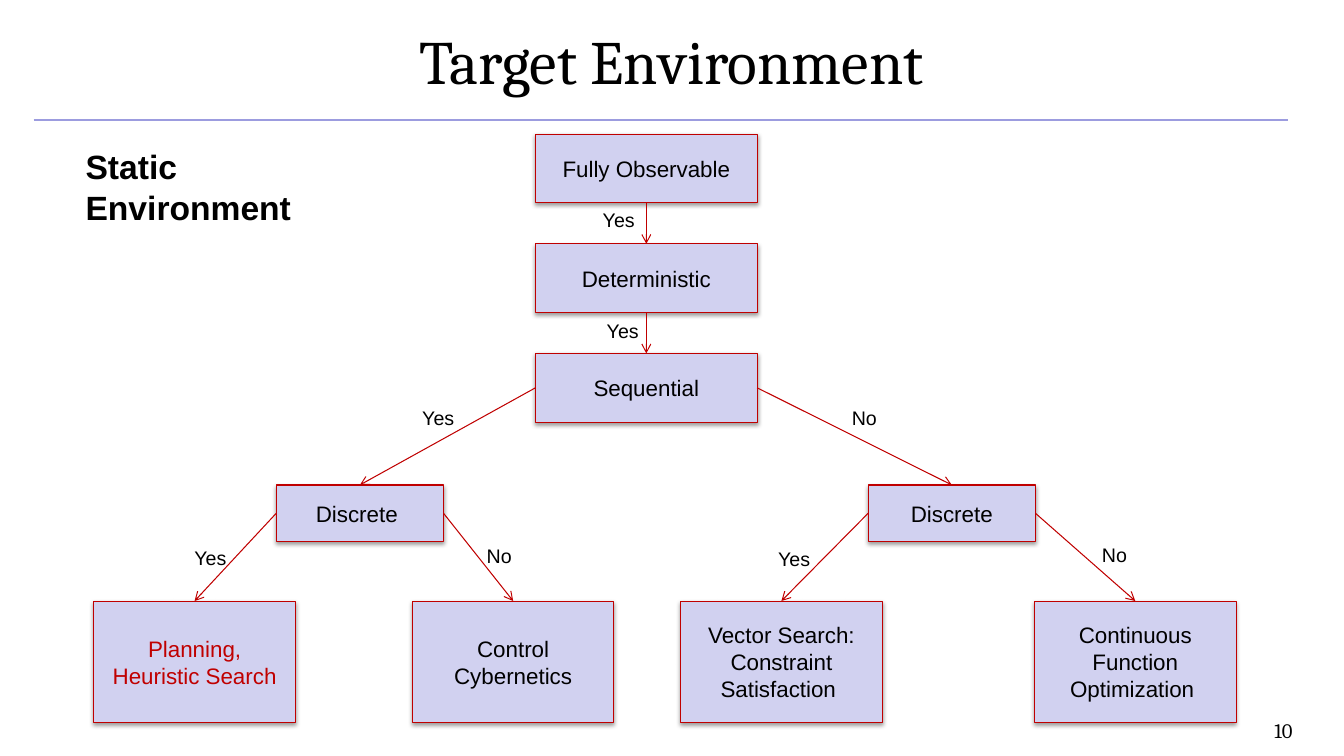
"""Draw the decision tree that maps a static environment to a solution method."""
from dataclasses import dataclass

from lxml import etree
from pptx import Presentation
from pptx.dml.color import RGBColor
from pptx.enum.shapes import MSO_CONNECTOR, MSO_SHAPE
from pptx.enum.text import MSO_ANCHOR, PP_ALIGN
from pptx.oxml.ns import qn
from pptx.shapes.autoshape import Shape
from pptx.shapes.connector import Connector
from pptx.slide import Slide
from pptx.text.text import TextFrame
from pptx.util import Emu, Inches, Pt

STRAIGHT = MSO_CONNECTOR.STRAIGHT
RECTANGLE = MSO_SHAPE.RECTANGLE
LEFT, CENTER, RIGHT = PP_ALIGN.LEFT, PP_ALIGN.CENTER, PP_ALIGN.RIGHT
TOP, MIDDLE = MSO_ANCHOR.TOP, MSO_ANCHOR.MIDDLE
TOP_SIDE, LEFT_SIDE, BOTTOM_SIDE, RIGHT_SIDE = range(4)

COLORS = {"text": "000000", "accent": "C00000", "fill": "D1D1F0",
          "rule": "9C9CDF", "shadow": "000000"}
WIDTH, HEIGHT = Inches(13.33), Inches(7.5)
TRUNK_CENTER, TRUNK_TOP, TRUNK_STEP = 48.09, 17.75, 14.5


@dataclass(frozen=True)
class Level:
    """Size of the boxes of one tree level, in percent of the slide."""
    width: float
    height: float


@dataclass(frozen=True)
class Node:
    """A box of the tree, placed by its centre and top in percent."""
    key: str
    lines: tuple[str, ...]
    level: Level
    center: float
    top: float
    color: str = "text"


@dataclass(frozen=True)
class Link:
    """An arrow between two boxes, with the place of its answer in percent."""
    source: str
    side: int
    target: str
    answer: str
    left: float
    top: float


@dataclass(frozen=True)
class Style:
    """Look of a piece of text."""
    size: float
    font: str = "Arial"
    color: str = "text"
    bold: bool = False
    align: PP_ALIGN = LEFT
    anchor: MSO_ANCHOR = TOP
    wrap: bool = True
    inset: tuple[float, float] = (0.1, 0.05)


TRUNK, BRANCH, LEAF = Level(16.5, 9.1), Level(12.45, 7.5), Level(15, 16.1)
BRANCH_TOP, LEAF_TOP = 64.15, 79.5

TRUNK_QUESTIONS = ("Fully Observable", "Deterministic", "Sequential")
NODES = [Node(question, (question,), TRUNK, TRUNK_CENTER, TRUNK_TOP + row * TRUNK_STEP)
         for row, question in enumerate(TRUNK_QUESTIONS)] + [
    Node("Discrete left", ("Discrete ",), BRANCH, 26.78, BRANCH_TOP),
    Node("Discrete right", ("Discrete",), BRANCH, 70.82, BRANCH_TOP),
    Node("Planning", ("Planning,", "Heuristic Search"), LEAF, 14.48, LEAF_TOP, "accent"),
    Node("Control", ("Control Cybernetics",), LEAF, 38.18, LEAF_TOP),
    Node("Vector", ("Vector Search: Constraint Satisfaction ",), LEAF, 58.14, LEAF_TOP),
    Node("Continuous", ("Continuous Function Optimization ",), LEAF, 84.47, LEAF_TOP),
]
LINKS = [
    Link("Fully Observable", BOTTOM_SIDE, "Deterministic", "Yes", 44.11, 26.8),
    Link("Deterministic", BOTTOM_SIDE, "Sequential", "Yes", 44.41, 41.47),
    Link("Sequential", LEFT_SIDE, "Discrete left", "Yes", 30.68, 53.07),
    Link("Sequential", RIGHT_SIDE, "Discrete right", "No", 62.64, 53.07),
    Link("Discrete left", LEFT_SIDE, "Planning", "Yes", 13.73, 71.6),
    Link("Discrete left", RIGHT_SIDE, "Control", "No", 35.48, 71.33),
    Link("Discrete right", LEFT_SIDE, "Vector", "Yes", 57.16, 71.73),
    Link("Discrete right", RIGHT_SIDE, "Continuous", "No", 81.25, 71.2),
]
ANSWER_WIDTHS = {"Yes": 3.9, "No": 3.38}


def across(percent: float) -> Emu:
    """Turn a share of the slide width into a length."""
    return Emu(round(WIDTH * percent / 100))


def down(percent: float) -> Emu:
    """Turn a share of the slide height into a length."""
    return Emu(round(HEIGHT * percent / 100))


def color(name: str) -> RGBColor:
    """Look up a colour of the palette."""
    return RGBColor.from_string(COLORS[name])


def write(frame: TextFrame, lines: tuple[str, ...], style: Style) -> None:
    """Fill a text frame with one paragraph per line."""
    frame.word_wrap = style.wrap
    frame.vertical_anchor = style.anchor
    frame.margin_left = frame.margin_right = Inches(style.inset[0])
    frame.margin_top = frame.margin_bottom = Inches(style.inset[1])
    for row, line in enumerate(lines):
        para = frame.add_paragraph() if row else frame.paragraphs[0]
        para.alignment = style.align
        span = para.add_run()
        span.text = line
        span.font.name = style.font
        span.font.size = Pt(style.size)
        span.font.bold = style.bold
        span.font.color.rgb = color(style.color)


def add_text(page: Slide, text: str, left: float, top: float,
             width: float, height: float, style: Style) -> None:
    """Add a text box placed in percent of the slide."""
    box = page.shapes.add_textbox(across(left), down(top), across(width), down(height))
    write(box.text_frame, (text,), style)


def add_shadow(box: Shape) -> None:
    """Give a box a soft shadow that falls straight down."""
    box.shadow.inherit = False
    effects = box.element.spPr.find(qn("a:effectLst"))
    shadow = etree.SubElement(effects, qn("a:outerShdw"), blurRad=str(Pt(3.1)),
                              dist=str(Pt(1.6)), dir="5400000", rotWithShape="0")
    tint = etree.SubElement(shadow, qn("a:srgbClr"), val=COLORS["shadow"])
    etree.SubElement(tint, qn("a:alpha"), val="38000")


def add_node(page: Slide, node: Node) -> Shape:
    """Add one box of the tree."""
    level = node.level
    box = page.shapes.add_shape(RECTANGLE, across(node.center - level.width / 2),
                                down(node.top), across(level.width), down(level.height))
    box.fill.solid()
    box.fill.fore_color.rgb = color("fill")
    box.line.color.rgb = color("accent")
    box.line.width = Pt(0.75)
    add_shadow(box)
    write(box.text_frame, node.lines,
          Style(16, color=node.color, align=CENTER, anchor=MIDDLE))
    return box


def add_line(page: Slide, left: float, right: float, top: float,
             tint: str, weight: float) -> Connector:
    """Add a plain horizontal line without shadow."""
    line = page.shapes.add_connector(STRAIGHT, across(left), down(top),
                                     across(right), down(top))
    line.line.color.rgb = color(tint)
    line.line.width = Pt(weight)
    etree.SubElement(line.element.spPr, qn("a:effectLst"))
    return line


def add_link(page: Slide, link: Link, boxes: dict[str, Shape]) -> None:
    """Join two boxes with an arrow and write its answer."""
    arrow = add_line(page, 0, 0, 0, "accent", 0.75)
    arrow.begin_connect(boxes[link.source], link.side)
    arrow.end_connect(boxes[link.target], TOP_SIDE)
    etree.SubElement(arrow.line._get_or_add_ln(), qn("a:tailEnd"), type="arrow")
    add_text(page, link.answer, link.left, link.top, ANSWER_WIDTHS[link.answer], 4.53,
             Style(14, wrap=False))


def main() -> None:
    """Build the slide and save the deck."""
    deck = Presentation()
    deck.slide_width, deck.slide_height = WIDTH, HEIGHT
    page = deck.slides.add_slide(deck.slide_layouts[6])
    add_line(page, 2.5, 95.85, 15.9, "rule", 1)
    add_text(page, "Target Environment", 0, -0.4, 100, 16.67,
             Style(44, "Cambria", align=CENTER, anchor=MIDDLE, inset=(0.07, 0.04)))
    boxes = {node.key: add_node(page, node) for node in NODES}
    for link in LINKS:
        add_link(page, link, boxes)
    add_text(page, "Static Environment", 5.63, 18.67, 19, 12, Style(24, bold=True))
    add_text(page, "10", 79.2, 94.4, 17.5, 4.27,
             Style(14.7, "Cambria", align=RIGHT, inset=(0.07, 0.04)))
    deck.save("out.pptx")


if __name__ == "__main__":
    main()
